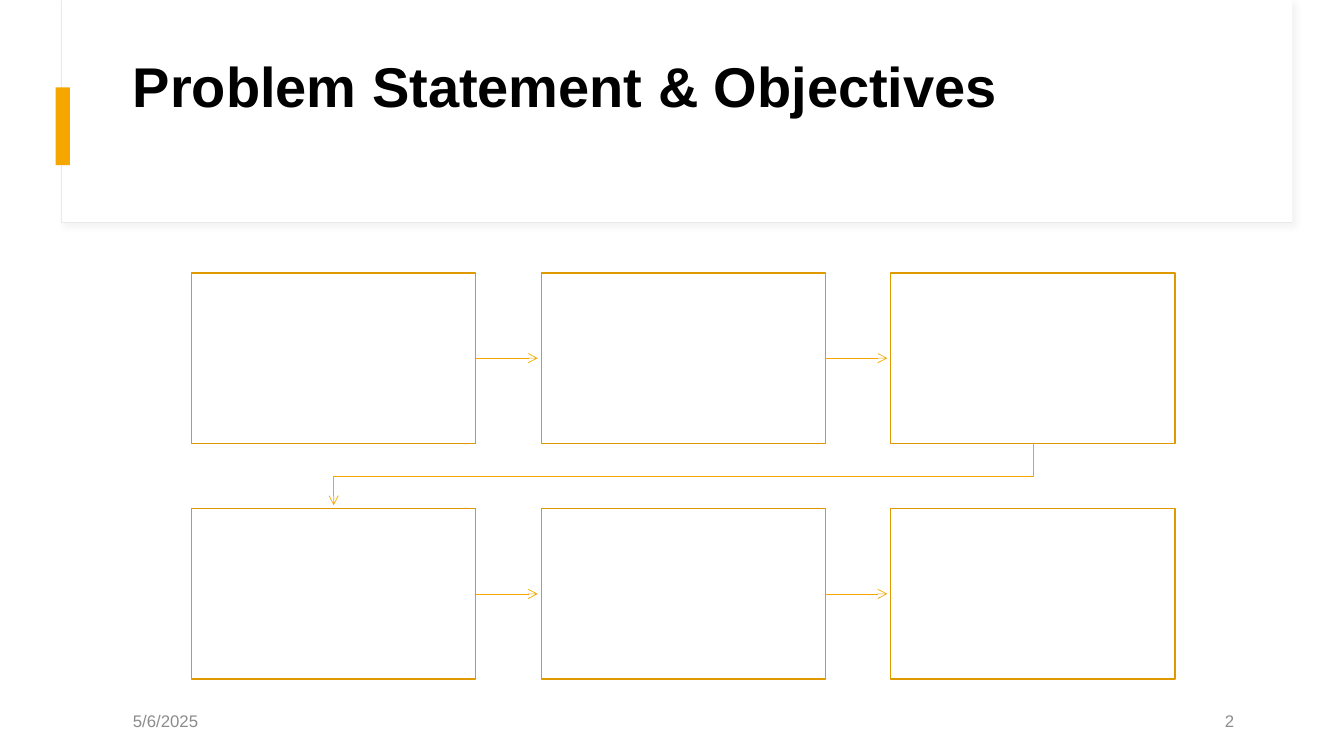
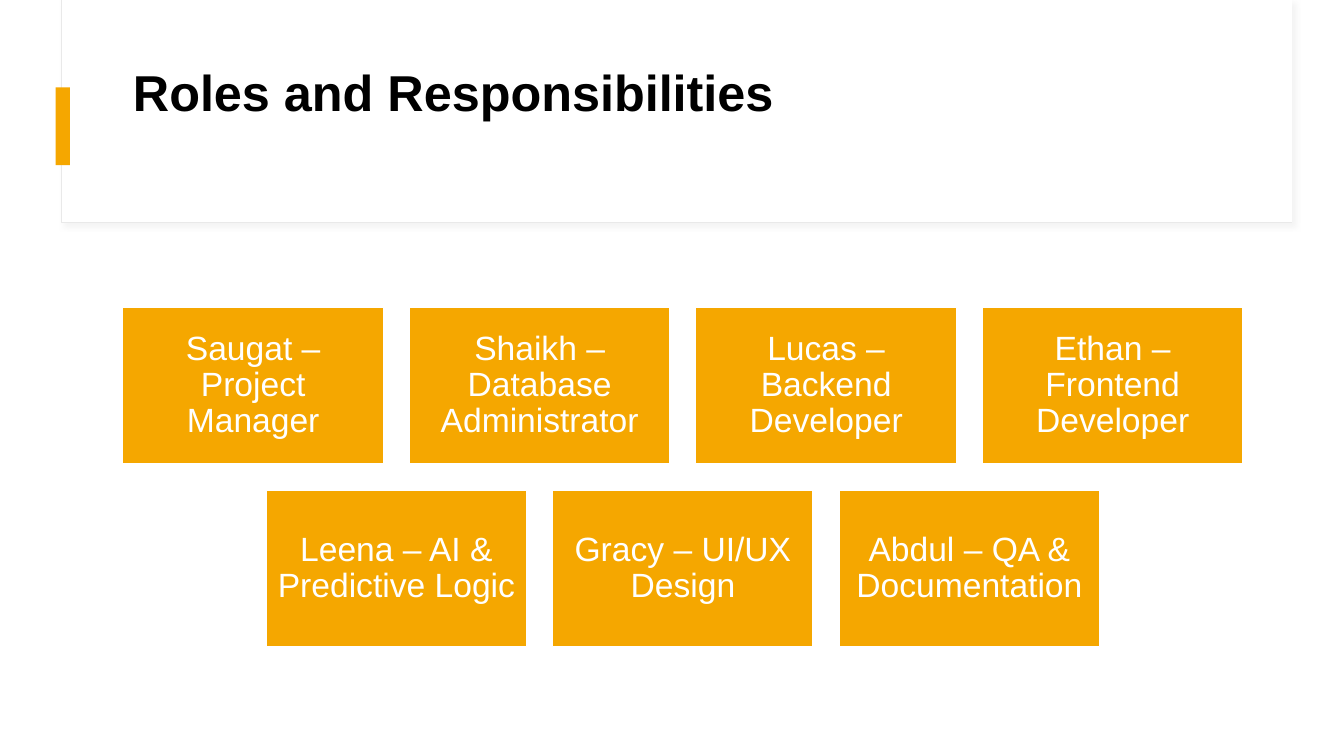
from lxml.etree import SubElement
from pptx import Presentation
from pptx.dml.color import RGBColor
from pptx.enum.shapes import MSO_CONNECTOR as CONN, MSO_SHAPE as SHAPE
from pptx.enum.text import MSO_ANCHOR as ANCHOR, PP_ALIGN as ALIGN
from pptx.oxml.ns import qn
from pptx.util import Cm, Pt

COLORS = {
    "white": "FFFFFF", "black": "000000", "gold": "F5A700", "dark_gold": "DE9800",
    "frame": "E9E9E9", "shadow": "D9D9D9", "footer": "8C8C8C",
}
FONT = "Arial"

# Title text, size in points, bottom of the title box in cm
OBJECTIVES_TITLE = ("Problem Statement & Objectives", 40, 3.15)
ROLES_TITLE = ("Roles and Responsibilities", 36, 3.22)
DATE, NUMBER = "5/6/2025", "2"
ROLES = [
    ["Saugat – Project Manager", "Shaikh – Database Administrator",
     "Lucas – Backend Developer", "Ethan – Frontend Developer"],
    ["Leena – AI & Predictive Logic", "Gracy – UI/UX Design",
     "Abdul – QA & Documentation"],
]

# Lengths in cm
MARGIN, CONTENT_W = 3.1, 28.25
STEP_ROWS, STEP_COLS = 2, 3
STEP_LEFT, STEP_TOP, STEP_W, STEP_H = 4.83, 6.88, 7.16, 4.29
STEP_DX, STEP_DY, ARROW_GAP = 8.81, 5.94, 0.09
ROLE_TOP, ROLE_W, ROLE_H = 7.75, 6.57, 3.94
ROLE_DX, ROLE_DY, ROLE_CENTER = 7.22, 4.6, 17.21


def rgb(name):
    return RGBColor.from_string(COLORS[name])


def add_rect(slide, left, top, width, height, fill, line=None, weight=1):
    sp = slide.shapes.add_shape(SHAPE.RECTANGLE, Cm(left), Cm(top), Cm(width), Cm(height))
    sp.shadow.inherit = False
    sp.fill.solid()
    sp.fill.fore_color.rgb = rgb(fill)
    if line:
        sp.line.color.rgb = rgb(line)
        sp.line.width = Pt(weight)
    else:
        sp.line.fill.background()
    return sp


def set_text(sp, text, size, color, align=ALIGN.LEFT, anchor=ANCHOR.MIDDLE,
             bold=False, spacing=None):
    tf = sp.text_frame
    tf.word_wrap = True
    tf.vertical_anchor = anchor
    tf.text = text
    p = tf.paragraphs[0]
    p.alignment = align
    p.line_spacing = spacing
    font = p.runs[0].font
    font.name, font.size, font.bold = FONT, Pt(size), bold
    font.color.rgb = rgb(color)


def add_text(slide, left, top, width, height, *args, **kwargs):
    sp = slide.shapes.add_textbox(Cm(left), Cm(top), Cm(width), Cm(height))
    set_text(sp, *args, **kwargs)


def effect_list(sp):
    props = sp._element.spPr
    found = props.find(qn("a:effectLst"))
    return SubElement(props, qn("a:effectLst")) if found is None else found


def add_soft_shadow(sp):
    shadow = SubElement(effect_list(sp), qn("a:outerShdw"), blurRad=str(Pt(4)),
                        dist=str(Pt(3)), dir="2700000", algn="tl", rotWithShape="0")
    color = SubElement(shadow, qn("a:srgbClr"), val=COLORS["shadow"])
    SubElement(color, qn("a:alpha"), val="30000")


def style_arrow(sp):
    sp.line.color.rgb = rgb("gold")
    sp.line.width = Pt(0.5)
    SubElement(sp.line._get_or_add_ln(), qn("a:tailEnd"), type="arrow")
    effect_list(sp)


def add_base(prs, title, size, bottom):
    """Add a slide with the header frame, accent bar and title."""
    slide = prs.slides.add_slide(prs.slide_layouts[6])
    add_soft_shadow(add_rect(slide, 1.55, 0, 31.01, 5.61, "white", "frame", 0.75))
    add_rect(slide, 1.57, 0, 30.99, 5.59, "white")
    add_rect(slide, 1.4, 2.2, 0.36, 1.96, "gold")
    top = 1.2
    add_text(slide, MARGIN, top, CONTENT_W, bottom - top, title, size, "black",
             anchor=ANCHOR.BOTTOM, bold=True, spacing=0.9)
    return slide


def add_footer(slide):
    width = 7.62
    for left, text, align in [(MARGIN, DATE, ALIGN.LEFT),
                              (MARGIN + CONTENT_W - width, NUMBER, ALIGN.RIGHT)]:
        add_text(slide, left, 17.65, width, 1.02, text, 12, "footer", align)


def add_step_row(slide, top):
    boxes = [add_rect(slide, STEP_LEFT + col * STEP_DX, top, STEP_W, STEP_H,
                      "white", "dark_gold") for col in range(STEP_COLS)]
    for box, following in zip(boxes, boxes[1:]):
        y = box.top + box.height // 2
        arrow = slide.shapes.add_connector(
            CONN.STRAIGHT, box.left + box.width, y, following.left - Cm(ARROW_GAP), y)
        arrow.begin_connect(box, 3)
        style_arrow(arrow)
    return boxes


def add_row_arrow(slide, last, first):
    """Lead from the end of one row down to the start of the next."""
    x1, x2 = (box.left + box.width // 2 for box in (last, first))
    y1 = last.top + last.height
    middle = (y1 + first.top) // 2
    builder = slide.shapes.build_freeform(x1, y1)
    builder.add_line_segments(
        [(x1, middle), (x2, middle), (x2, first.top - Cm(ARROW_GAP))], close=False)
    sp = builder.convert_to_shape()
    sp.fill.background()
    style_arrow(sp)


def build_objectives(prs):
    slide = add_base(prs, *OBJECTIVES_TITLE)
    rows = [add_step_row(slide, STEP_TOP + row * STEP_DY) for row in range(STEP_ROWS)]
    for upper, lower in zip(rows, rows[1:]):
        add_row_arrow(slide, upper[-1], lower[0])
    add_footer(slide)


def build_roles(prs):
    slide = add_base(prs, *ROLES_TITLE)
    for row, roles in enumerate(ROLES):
        left = ROLE_CENTER - ((len(roles) - 1) * ROLE_DX + ROLE_W) / 2
        for col, role in enumerate(roles):
            sp = add_rect(slide, left + col * ROLE_DX, ROLE_TOP + row * ROLE_DY,
                          ROLE_W, ROLE_H, "gold", "white")
            set_text(sp, role, 24, "white", ALIGN.CENTER, spacing=0.9)
            tf = sp.text_frame
            tf.margin_left = tf.margin_right = tf.margin_top = tf.margin_bottom = Cm(0.25)


def main():
    prs = Presentation()
    prs.slide_width, prs.slide_height = Cm(33.87), Cm(19.05)
    build_objectives(prs)
    build_roles(prs)
    prs.save("out.pptx")


if __name__ == "__main__":
    main()
